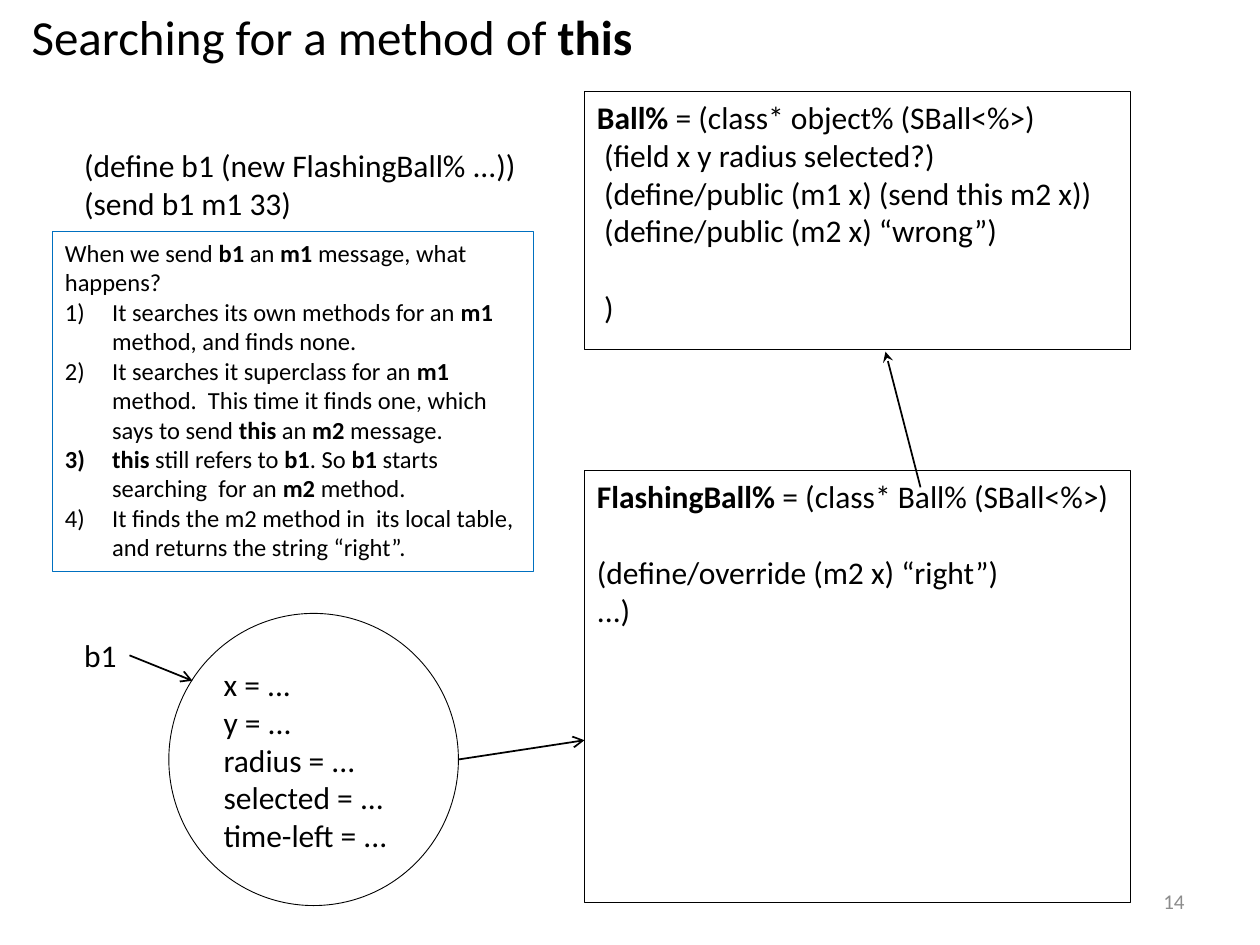
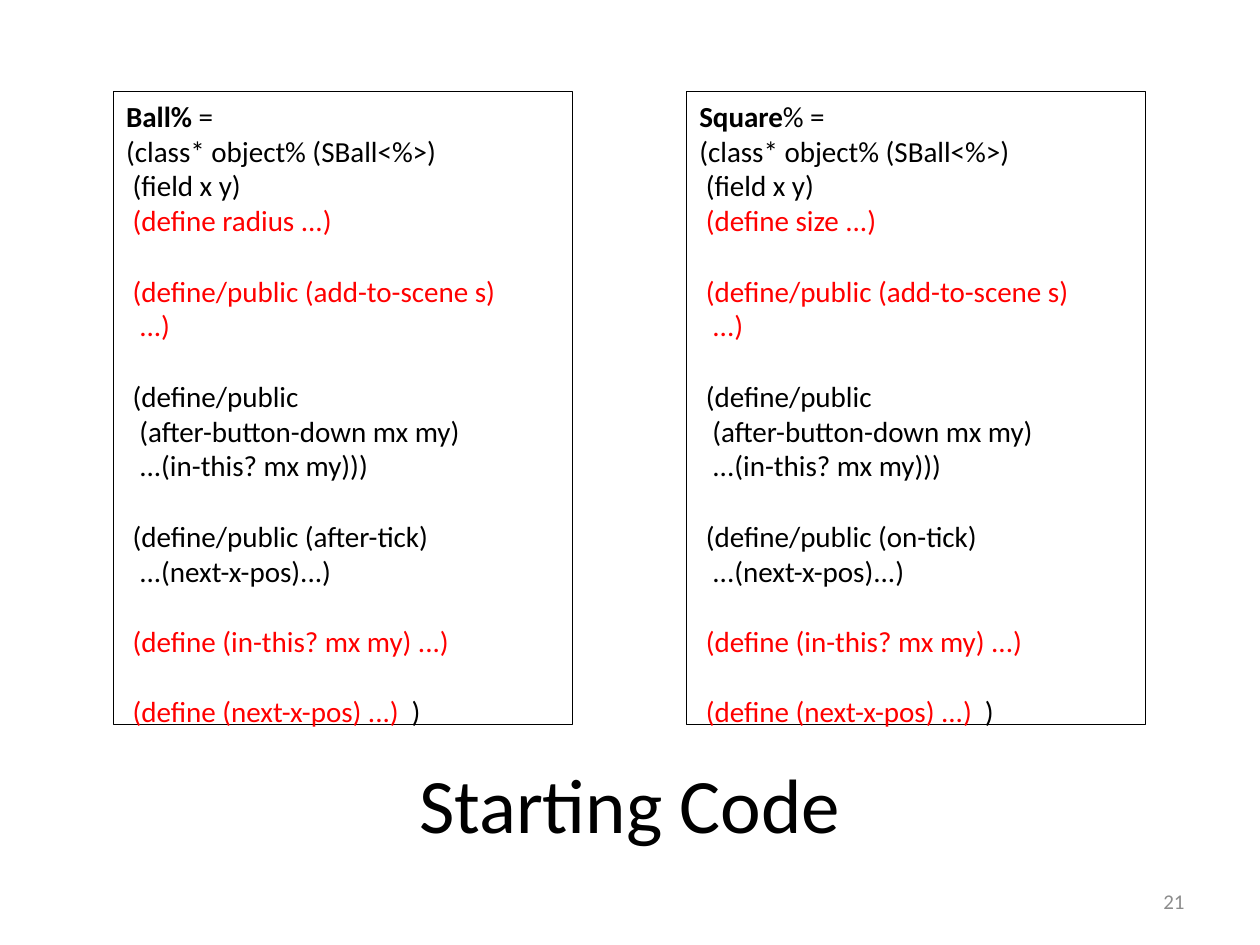
"""Two slides on method lookup and shared code in classes."""
from dataclasses import dataclass

from lxml import etree
from pptx import Presentation
from pptx import util as u
from pptx.dml import color
from pptx.enum import shapes, text
from pptx.oxml import ns


@dataclass(frozen=True)
class Theme:
    """Colours, font and type sizes of the deck."""
    font: str = "Calibri"
    ink: color.RGBColor = color.RGBColor(0, 0, 0)
    accent: color.RGBColor = color.RGBColor(0xFF, 0, 0)
    frame: color.RGBColor = color.RGBColor(0, 0x70, 0xC0)
    muted: color.RGBColor = color.RGBColor(0x8C, 0x8C, 0x8C)
    heading: float = 28
    banner: float = 44
    body: float = 18
    code: float = 16.6
    note: float = 14
    footer: float = 12
    line_height: float = 1.22
    space_width: float = 0.226


@dataclass(frozen=True)
class Line:
    """A paragraph: spans split by "|"; "*" leads a bold span, "!" a red one."""
    content: str
    indent: int = 0
    gap: bool = False
    numbered: bool = False


THEME = Theme()
NUMBER_INDENT = 27
CLASS_TOP = 52.5


def apply(target, formats):
    """Set each attribute named in formats on target."""
    for name, value in formats.items():
        setattr(target, name, value)


def add_child(parent, tag, **attributes):
    """Append a DrawingML element to parent and return it."""
    return etree.SubElement(parent, ns.qn(tag), attributes)


def add_spans(para, content, size, ink):
    """Write the marked-up content as spans of one paragraph."""
    for part in content.split("|"):
        span = para.add_run()
        span.text = part.lstrip("*!")
        apply(span.font, {"name": THEME.font, "size": u.Pt(size),
                          "bold": part.startswith("*")})
        span.font.color.rgb = THEME.accent if part.startswith("!") else ink


def indent_para(para, line, size):
    """Give a paragraph its code indent or its number."""
    properties = para._p.get_or_add_pPr()
    if line.numbered:
        properties.set("marL", str(u.Pt(NUMBER_INDENT)))
        properties.set("indent", str(-u.Pt(NUMBER_INDENT)))
        add_child(properties, "a:buAutoNum", type="arabicParenR")
    elif line.indent:
        width = line.indent * size * THEME.space_width
        properties.set("marL", str(u.Pt(width)))


def fill_text(box, lines, size, ink=THEME.ink, align=text.PP_ALIGN.LEFT,
              anchor=text.MSO_ANCHOR.TOP, wrap=True):
    """Write the lines into a box."""
    frame = box.text_frame
    apply(frame, {"word_wrap": wrap, "vertical_anchor": anchor})
    for index, line in enumerate(lines):
        para = frame.add_paragraph() if index else frame.paragraphs[0]
        gap = size * THEME.line_height if line.gap else 0
        apply(para, {"alignment": align, "space_before": u.Pt(gap)})
        indent_para(para, line, size)
        add_spans(para, line.content, size, ink)


def add_label(page, place, lines, size, **formats):
    """Add a text box at place (left, top, width, height)."""
    box = page.shapes.add_textbox(*map(u.Pt, place))
    fill_text(box, lines, size, **formats)
    if not formats.get("wrap", True):
        box.text_frame.auto_size = text.MSO_AUTO_SIZE.SHAPE_TO_FIT_TEXT


def add_outline(page, place, lines, size, kind=shapes.MSO_SHAPE.RECTANGLE,
                stroke=THEME.ink, weight=0.5, **formats):
    """Add an unfilled outlined shape with text."""
    box = page.shapes.add_shape(kind, *map(u.Pt, place))
    box.shadow.inherit = False
    box.fill.background()
    box.line.color.rgb = stroke
    box.line.width = u.Pt(weight)
    fill_text(box, lines, size, **formats)


def add_arrow(page, start, end, head="arrow"):
    """Draw a straight arrow from start to end."""
    arrow = page.shapes.add_connector(
        shapes.MSO_CONNECTOR.STRAIGHT, *map(u.Pt, start + end))
    arrow.line.color.rgb = THEME.ink
    arrow.line.width = u.Pt(1)
    add_child(arrow.line._get_or_add_ln(), "a:tailEnd", type=head)
    add_child(arrow._element.spPr, "a:effectLst")


def add_page(deck, number):
    """Add a blank page with its page number."""
    page = deck.slides.add_slide(deck.slide_layouts[6])
    add_label(page, (516, 500.5, 168, 28.5), [Line(str(number))], THEME.footer,
              ink=THEME.muted, align=text.PP_ALIGN.RIGHT,
              anchor=text.MSO_ANCHOR.MIDDLE)
    return page


def class_code(name, shape_field, tick):
    """Return the code lines of one starting class."""
    return [
        Line(name + " ="),
        Line("(class* object% (SBall<%>)"),
        Line("(field x y)", 1),
        Line(f"!(define {shape_field} ...)", 1),
        Line("!(define/public (add-to-scene s)", 1, gap=True),
        Line("!...)", 2),
        Line("(define/public", 1, gap=True),
        Line("(after-button-down mx my)", 2),
        Line("...(in-this? mx my)))", 2),
        Line(f"(define/public ({tick})", 1, gap=True),
        Line("...(next-x-pos)...)", 2),
        Line("!(define (in-this? mx my) ...)", 1, gap=True),
        Line("!(define (next-x-pos) ...)  |)", 1, gap=True),
    ]


def add_classes(page):
    """Draw the superclass, the subclass and the arrow between them."""
    add_outline(page, (334, CLASS_TOP, 312, 147), [
        Line("*Ball%| = (class* object% (SBall<%>)"),
        Line("(field x y radius selected?)", 1),
        Line("(define/public (m1 x) (send this m2 x))", 1),
        Line("(define/public (m2 x) “wrong”)", 1),
        Line(")", 1, gap=True),
    ], THEME.body)
    add_outline(page, (334, 269, 312, 247), [
        Line("*FlashingBall%| = (class* Ball% (SBall<%>)"),
        Line("(define/override (m2 x) “right”)", gap=True),
        Line("...)"),
    ], THEME.body)
    add_arrow(page, (526, 278.5), (506, 201), head="stealth")


def add_instance(page):
    """Draw the object b1 with its fields and its link to the class."""
    fields = ("x", "y", "radius", "selected", "time-left")
    add_outline(page, (96.5, 350.5, 165.5, 167),
                [Line(f"{field} = ...") for field in fields], THEME.body,
                kind=shapes.MSO_SHAPE.OVAL, anchor=text.MSO_ANCHOR.MIDDLE)
    add_label(page, (41, 360, 33, 29), [Line("b1")], THEME.body, wrap=False)
    add_arrow(page, (74, 374.5), (110, 389))
    add_arrow(page, (262, 434), (334, 423))


def add_search_page(deck):
    """Build the page that traces a message sent to this."""
    page = add_page(deck, 14)
    add_label(page, (11, 0, 403, 41),
              [Line("Searching for a method of |*this")], THEME.heading)
    add_label(page, (41, 80, 264, 51), [
        Line("(define b1 (new FlashingBall% ...))"),
        Line("(send b1 m1 33)"),
    ], THEME.body, wrap=False)
    add_classes(page)
    add_instance(page)
    steps = (
        "It searches its own methods for an |*m1| method, and finds none.",
        "It searches it superclass for an |*m1| method.  This time it finds "
        "one, which says to send |*this| an |*m2| message.",
        "*this| still refers to |*b1|. So |*b1| starts searching  for an "
        "|*m2| method.",
        "It finds the m2 method in  its local table, and returns the string "
        "“right”.",
    )
    question = Line("When we send |*b1| an |*m1| message, what happens?")
    add_outline(page, (30, 132.5, 275, 194),
                [question] + [Line(step, numbered=True) for step in steps],
                THEME.note, stroke=THEME.frame, weight=0.75)


def add_starting_page(deck):
    """Build the page that sets two similar classes side by side."""
    page = add_page(deck, 21)
    columns = (("*Ball%|", "radius", "after-tick"),
               ("*Square|%", "size", "on-tick"))
    for index, column in enumerate(columns):
        add_outline(page, (65 + index * 327.5, CLASS_TOP, 262, 361.5),
                    class_code(*column), THEME.code)
    add_label(page, (36, 428.5, 648, 90), [Line("Starting Code")],
              THEME.banner, align=text.PP_ALIGN.CENTER)


def main():
    """Build and save the deck."""
    deck = Presentation()
    apply(deck, {"slide_width": u.Pt(720), "slide_height": u.Pt(540)})
    add_search_page(deck)
    add_starting_page(deck)
    deck.save("out.pptx")


main()
